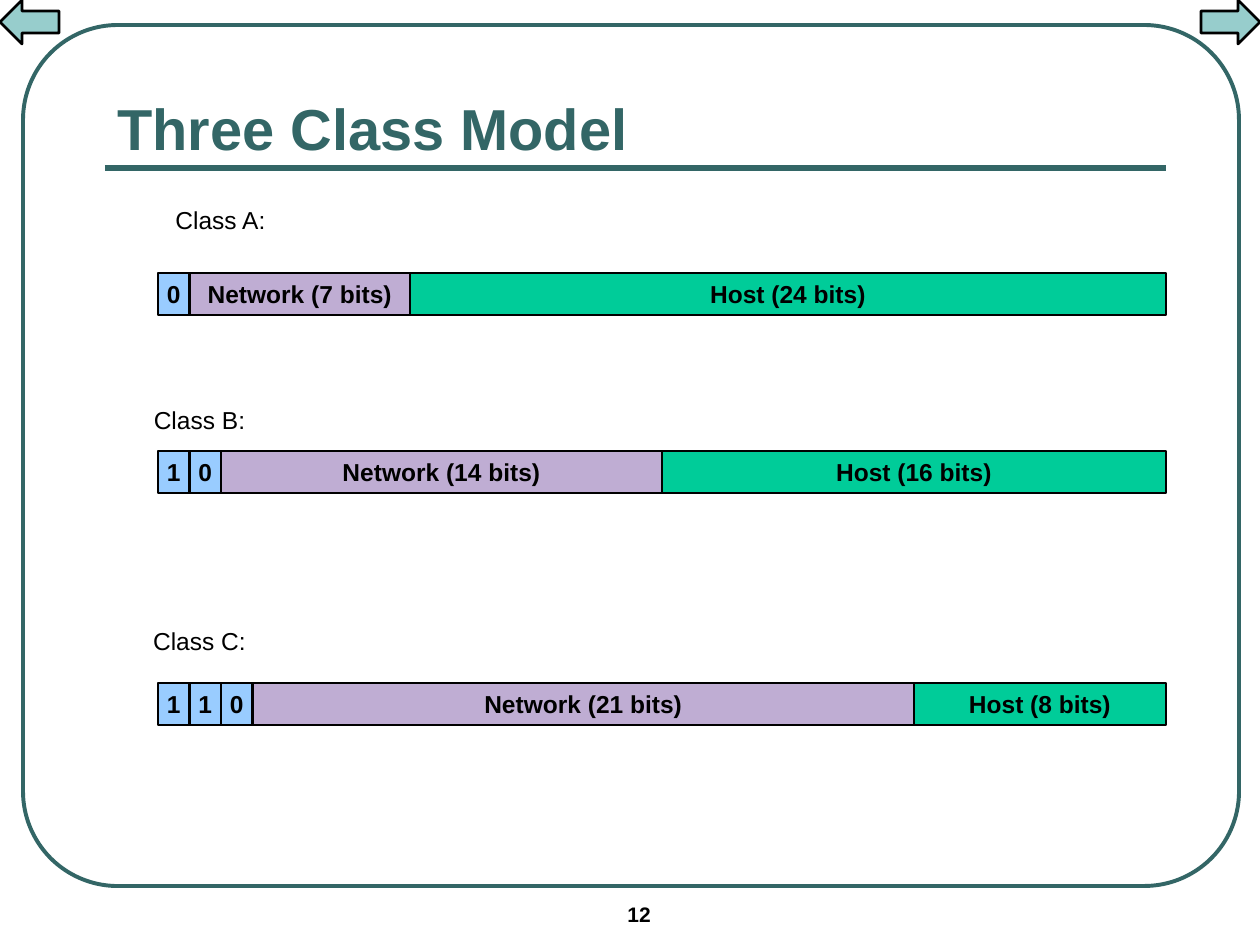
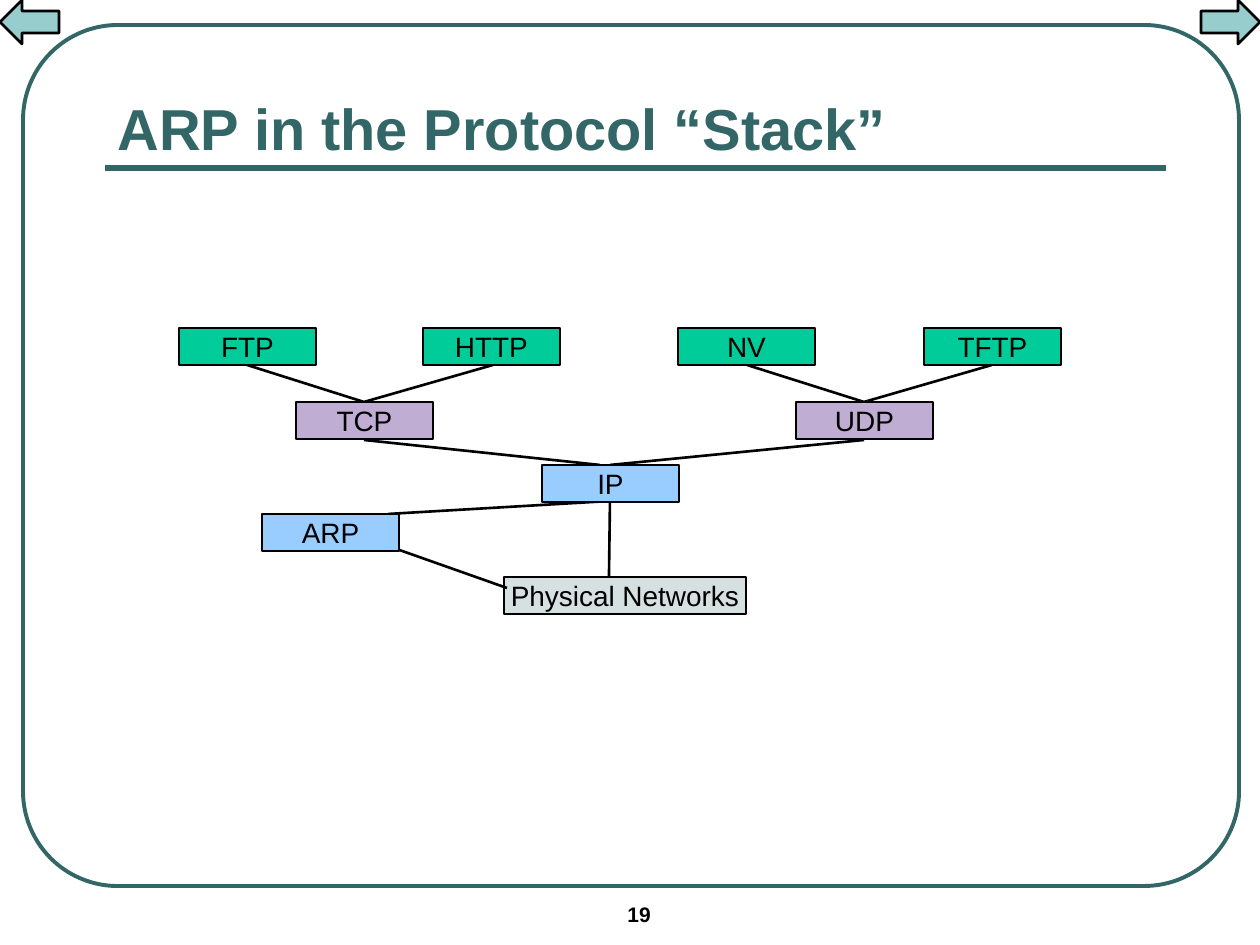
from pptx import Presentation
from pptx.dml.color import RGBColor
from pptx.enum.shapes import MSO_CONNECTOR, MSO_SHAPE as SHAPE
from pptx.enum.text import MSO_ANCHOR as ANCHOR, PP_ALIGN as ALIGN
from pptx.oxml.ns import qn
from pptx.util import Pt
from lxml import etree

PX = 914400 / 126  # EMU in one pixel
TEAL, BLACK, AQUA = "336666", "000000", "97CDCC"
BLUE, PURPLE, GREEN, GREY = "99CCFF", "BFADD3", "00CC99", "D6E0E0"

hex_color = RGBColor.from_string


def add_box(s, x, y, w, h, text="", kind=SHAPE.RECTANGLE, fill=None, line=None,
            width=1.5, align=ALIGN.CENTER, anchor=ANCHOR.MIDDLE, wrap=False, **font):
    """Add a preset shape, or a text box when kind is None."""
    box = [round(v * PX) for v in (x, y, w, h)]
    if kind is None:
        sp = s.shapes.add_textbox(*box)
    else:
        sp = s.shapes.add_shape(kind, *box)
        sp.shadow.inherit = False
        if fill:
            sp.fill.solid()
            sp.fill.fore_color.rgb = hex_color(fill)
        else:
            sp.fill.background()
        sp.line.color.rgb = hex_color(line or BLACK)
        sp.line.width = Pt(width)
    if text:
        tf = sp.text_frame
        tf.word_wrap = wrap
        tf.vertical_anchor = anchor
        p = tf.paragraphs[0]
        p.alignment = align
        r = p.add_run()
        r.text = text
        fmt = {"name": "Arial", "size": Pt(14), "bold": False, **font}
        color = fmt.pop("color", BLACK)
        for key, value in fmt.items():
            setattr(r.font, key, value)
        r.font.color.rgb = hex_color(color)
    return sp


def add_line(s, x1, y1, x2, y2, color=BLACK, width=1.5):
    ln = s.shapes.add_connector(MSO_CONNECTOR.STRAIGHT,
                                *[round(v * PX) for v in (x1, y1, x2, y2)])
    ln.line.color.rgb = hex_color(color)
    ln.line.width = Pt(width)
    etree.SubElement(ln._element.spPr, qn("a:effectLst"))


prs = Presentation()
prs.slide_width, prs.slide_height = round(1260 * PX), round(945 * PX)

# Shared frame, title, navigation arrows and page number
slides = []
for title, number in (("Three Class Model", "12"),
                      ("ARP in the Protocol “Stack”", "19")):
    s = prs.slides.add_slide(prs.slide_layouts[6])
    frame = add_box(s, 23, 25, 1216, 861, kind=SHAPE.ROUNDED_RECTANGLE,
                    line=TEAL, width=2.25)
    frame.adjustments[0] = 0.11
    add_line(s, 105, 168, 1166, 168, TEAL, 3)
    add_box(s, 1201, 0, 59, 44, kind=SHAPE.RIGHT_ARROW, fill=AQUA)
    add_box(s, 0, 0, 59, 44, kind=SHAPE.LEFT_ARROW, fill=AQUA)
    add_box(s, 615, 895, 147, 42, number, kind=None, align=ALIGN.LEFT,
            anchor=ANCHOR.TOP, wrap=True, size=Pt(12), bold=True)
    add_box(s, 105, 73, 1061, 95, title, kind=None, align=ALIGN.LEFT,
            anchor=ANCHOR.BOTTOM, wrap=True, size=Pt(33), bold=True, color=TEAL)
    slides.append(s)
class_slide, stack_slide = slides

# Address classes: each field is as wide as its bits, 32 bits to a bar
BAR_X, BAR_W, BAR_H = 158, 1008, 42
classes = (  # label, its left and top, bar top, prefix, network bits
    ("Class A:", 147, 199, 273, "0", 7),
    ("Class B:", 126, 399, 451, "10", 14),
    ("Class C:", 126, 620, 683, "110", 21),
)
for label, label_x, label_y, bar_y, prefix, network in classes:
    host = 32 - len(prefix) - network
    fields = [(bit, 1, BLUE) for bit in prefix]
    fields += [(f"Network ({network} bits)", network, PURPLE),
               (f"Host ({host} bits)", host, GREEN)]
    start = 0
    for text, bits, fill in fields:
        add_box(class_slide, BAR_X + start * BAR_W / 32, bar_y,
                bits * BAR_W / 32, BAR_H, text, fill=fill, bold=True)
        start += bits
    add_box(class_slide, label_x, label_y, 147, 42, label, kind=None,
            anchor=ANCHOR.TOP, wrap=True)

# Protocol stack: the lowest layer, then the links, then the protocols
BOX_W, BOX_H = 137, 37
add_box(stack_slide, 504, 577, 242, BOX_H, "Physical Networks", fill=GREY, size=Pt(16))

links = (
    (247, 365, 364, 402), (493, 365, 364, 402),    # FTP, HTTP to TCP
    (747, 365, 864, 402), (992, 365, 864, 402),    # NV, TFTP to UDP
    (364, 440, 600, 465), (864, 440, 610, 465),    # TCP, UDP to IP
    (610, 501, 388, 514), (507, 588, 388, 546),    # IP to ARP, networks to ARP
    (610, 501, 609, 577),                          # IP to networks
)
for link in links:
    add_line(stack_slide, *link)

layers = (
    (328, GREEN, (("FTP", 179), ("HTTP", 423), ("NV", 678), ("TFTP", 924))),
    (402, PURPLE, (("TCP", 296), ("UDP", 796))),
    (465, BLUE, (("IP", 542),)),
    (514, BLUE, (("ARP", 262),)),
)
for y, fill, protocols in layers:
    for name, x in protocols:
        add_box(stack_slide, x, y, BOX_W, BOX_H, name, fill=fill, size=Pt(16))

prs.save("out.pptx")
